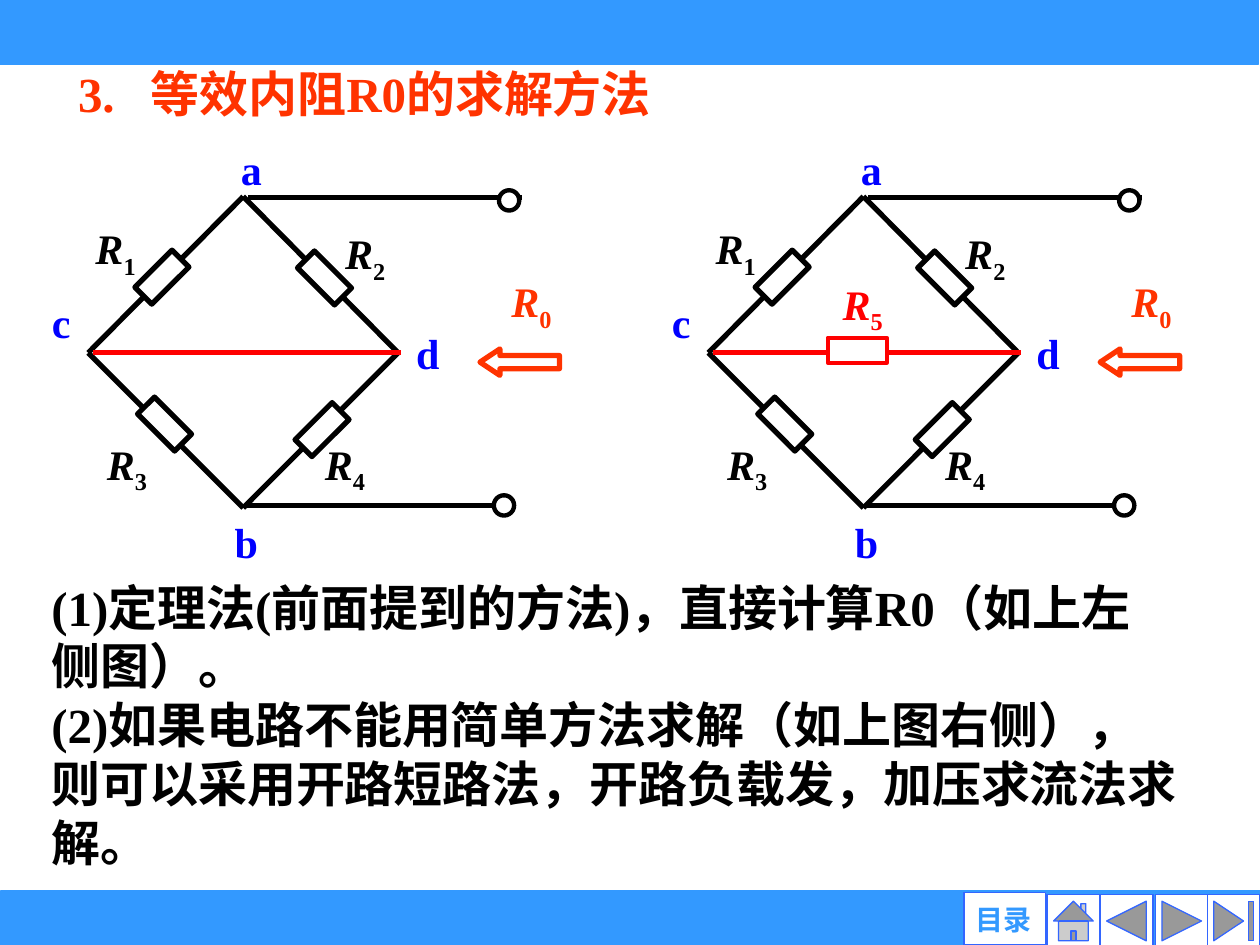
from dataclasses import dataclass

from lxml.etree import SubElement
from pptx import Presentation
from pptx.dml.color import RGBColor
from pptx.enum.shapes import MSO_CONNECTOR as Connector, MSO_SHAPE as Shape
from pptx.enum.text import MSO_ANCHOR as Anchor, MSO_AUTO_SIZE as AutoSize, PP_ALIGN as Align
from pptx.oxml.ns import qn
from pptx.util import Pt


@dataclass(frozen=True)
class Theme:
    bar: str = "3399FF"
    button_line: str = "3366FF"
    paper: str = "FFFFFF"
    ink: str = "000000"
    accent: str = "FF3300"
    branch: str = "FF0000"
    node: str = "0000FF"
    font: str = "Times New Roman"
    button_font: str = "Arial"
    text_size: float = 28
    label_size: float = 24
    button_size: float = 16
    wire_width: float = 3
    terminal_width: float = 2.5
    bridge_width: float = 2.25
    button_width: float = 0.75


class SlideBuilder:
    def __init__(self, slide, theme):
        self.slide = slide
        self.theme = theme
        self.shapes = slide.shapes

    def start_group(self):
        self.shapes = self.slide.shapes.add_group_shape().shapes

    def end_group(self):
        self.shapes = self.slide.shapes

    def shape(self, kind, left, top, width, height, line, line_width, fill=None, rotation=0):
        shape = self.shapes.add_shape(kind, Pt(left), Pt(top), Pt(width), Pt(height))
        shape.shadow.inherit = False
        shape.rotation = rotation
        shape.fill.solid()
        shape.fill.fore_color.rgb = RGBColor.from_string(fill or self.theme.paper)
        shape.line.color.rgb = RGBColor.from_string(line)
        shape.line.width = Pt(line_width)
        return shape

    def wire(self, start, end, color=None):
        points = [Pt(value) for value in (*start, *end)]
        connector = self.shapes.add_connector(Connector.STRAIGHT, *points)
        connector.line.color.rgb = RGBColor.from_string(color or self.theme.ink)
        connector.line.width = Pt(self.theme.wire_width)
        SubElement(connector._element.spPr, qn("a:effectLst"))

    def style(self, run, color, size, font=None):
        run.font.name = font or self.theme.font
        run.font.size = Pt(size)
        run.font.bold = True
        run.font.color.rgb = RGBColor.from_string(color)

    def text(self, text, left, top, width, height, color, size, font=None,
             wrap=True, align=Align.LEFT, anchor=Anchor.TOP, inset=None):
        box = self.shapes.add_textbox(Pt(left), Pt(top), Pt(width), Pt(height))
        frame = box.text_frame
        frame.text = text
        frame.word_wrap = wrap
        frame.auto_size = AutoSize.SHAPE_TO_FIT_TEXT
        frame.vertical_anchor = anchor
        if inset is not None:
            frame.margin_left = frame.margin_right = Pt(inset)
            frame.margin_top = frame.margin_bottom = Pt(inset)
        for paragraph in frame.paragraphs:
            paragraph.alignment = align
            for run in paragraph.runs:
                self.style(run, color, size, font)
        return frame

    def title(self, text, left, top, width, height, tab):
        title = self.slide.shapes.title
        title.left, title.top, title.width, title.height = map(Pt, (left, top, width, height))
        frame = title.text_frame
        frame.text = text
        frame.word_wrap = True
        frame.auto_size = AutoSize.SHAPE_TO_FIT_TEXT
        frame.vertical_anchor = Anchor.MIDDLE
        paragraph = frame.paragraphs[0]
        tabs = SubElement(paragraph._p.get_or_add_pPr(), qn("a:tabLst"))
        SubElement(tabs, qn("a:tab"), pos=str(Pt(tab)), algn="l")
        paragraph.alignment = Align.LEFT
        paragraph.line_spacing = 0.9
        self.style(paragraph.runs[0], self.theme.accent, self.theme.text_size)

    def node(self, name, left, top, width):
        self.text(name, left, top, width, 36, self.theme.node, self.theme.label_size,
                  wrap=False, align=Align.CENTER, anchor=Anchor.MIDDLE)

    def resistance(self, index, left, top, color=None):
        color = color or self.theme.ink
        frame = self.text("R", left, top, 38.2, 36, color, self.theme.label_size, wrap=False)
        paragraph = frame.paragraphs[0]
        paragraph.runs[0].font.italic = True
        subscript = paragraph.add_run()
        subscript.text = index
        self.style(subscript, color, self.theme.label_size)
        subscript.font.italic = False
        subscript.font._element.set("baseline", "-25000")

    def resistor(self, center_x, center_y, rotation):
        width, height = 13.7, 30
        self.shape(Shape.RECTANGLE, center_x - width / 2, center_y - height / 2, width, height,
                   self.theme.ink, self.theme.wire_width, rotation=rotation)

    def terminal(self, left, top):
        self.shape(Shape.OVAL, left, top, 11.6, 11.6, self.theme.ink, self.theme.terminal_width)

    def circuit(self, x, bridged=False):
        theme = self.theme
        self.start_group()
        arrow = self.shape(Shape.LEFT_ARROW, x + 274.3, 199.4, 45.4, 15.1,
                           theme.accent, theme.wire_width)
        arrow.adjustments[0], arrow.adjustments[1] = 0.5, 0.754
        self.resistance("0", x + 285.1, 154.1, theme.accent)

        top, bottom = (x + 139, 112.3), (x + 139, 290.2)
        left, right = (x + 50.4, 201.6), (x + 227.5, 201.6)
        corners = [top, right, bottom, left]
        for start, end in zip(corners, corners[1:] + corners[:1]):
            self.wire(start, end)
        self.wire((x + 141.8, 113), (x + 298.1, 113))
        self.wire((x + 140.4, 288.7), (x + 291.6, 288.7))
        self.wire((x + 53.3, 201.6), (x + 229, 201.6), theme.branch)

        for center_x, center_y, rotation in (
            (92.5, 158.4, 45), (185.4, 158.8, 135), (94, 242.3, 135), (184, 245.5, 45),
        ):
            self.resistor(x + center_x, center_y, rotation)
        for index, label_x, label_y in (
            ("1", 47.5, 123.8), ("2", 190.1, 126.7), ("3", 54, 247), ("4", 178.6, 247),
        ):
            self.resistance(index, x + label_x, label_y)
        for name, label_x, label_y, width in (
            ("a", 130.3, 78.5, 26.6), ("b", 126.7, 291.6, 28.1),
            ("c", 22.3, 165.6, 25.2), ("d", 230.4, 183.6, 28.1),
        ):
            self.node(name, x + label_x, label_y, width)
        self.terminal(x + 285.1, 108.7)
        self.terminal(x + 282.2, 283)
        if bridged:
            self.resistance("5", x + 120.1, 155.5, theme.branch)
            self.shape(Shape.RECTANGLE, x + 118.6, 193, 33.8, 14.4,
                       theme.branch, theme.bridge_width)
        self.end_group()

    def frame_bars(self):
        theme = self.theme
        self.shape(Shape.RECTANGLE, 0.7, 509.8, 719.3, 30.2, theme.bar, 3, theme.bar)
        self.shape(Shape.RECTANGLE, 0, -0.7, 719.3, 37.4, theme.bar, 0, theme.bar)
        for kind, left in (
            (Shape.ACTION_BUTTON_HOME, 598.3),
            (Shape.ACTION_BUTTON_BACK_OR_PREVIOUS, 628.6),
            (Shape.ACTION_BUTTON_FORWARD_OR_NEXT, 660.2),
            (Shape.ACTION_BUTTON_END, 689.8),
        ):
            self.shape(kind, left, 511.2, 30.2, 30.2, theme.button_line, theme.button_width)
        self.shape(Shape.ACTION_BUTTON_CUSTOM, 550.8, 509.8, 46.8, 30.2,
                   theme.button_line, theme.button_width)
        self.text("目录", 550.8, 515.5, 45.4, 19.4, theme.bar, theme.button_size,
                  theme.button_font, align=Align.CENTER, anchor=Anchor.MIDDLE, inset=0)


def main():
    presentation = Presentation()
    presentation.slide_width, presentation.slide_height = Pt(720), Pt(540)
    slide = presentation.slides.add_slide(presentation.slide_layouts[5])
    theme = Theme()
    builder = SlideBuilder(slide, theme)
    builder.frame_bars()
    builder.title("3.\t等效内阻R0的求解方法", 37.4, 36.7, 498.2, 37.4, tab=41.5)
    builder.text(
        "(1)定理法(前面提到的方法)，直接计算R0（如上左侧图）。\n"
        "(2)如果电路不能用简单方法求解（如上图右侧），则可以采用开路短路法，开路负载发，加压求流法求解。",
        22.3, 326.2, 658.1, 211, theme.ink, theme.text_size)
    builder.circuit(0)
    builder.circuit(354.4, bridged=True)
    presentation.save("out.pptx")


if __name__ == "__main__":
    main()
